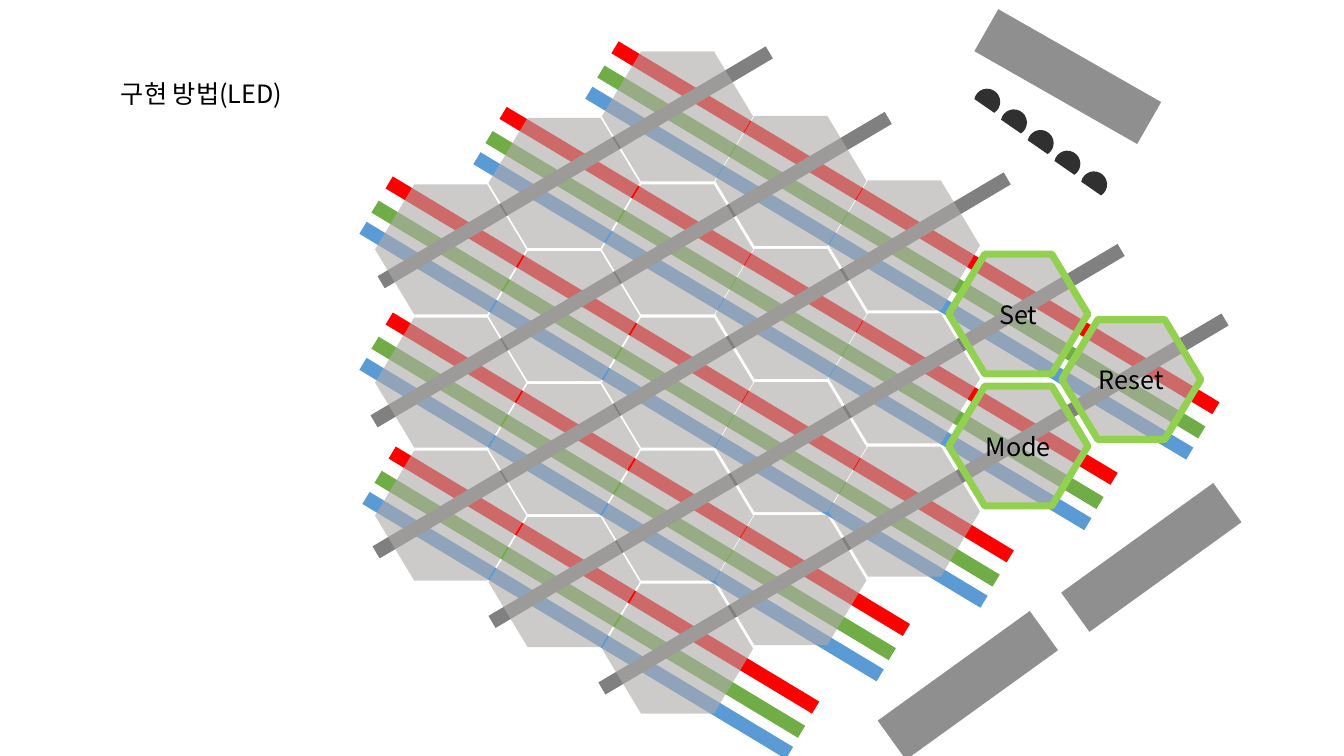
from lxml.etree import SubElement
from pptx import Presentation
from pptx.dml.color import RGBColor
from pptx.enum.shapes import MSO_CONNECTOR, MSO_SHAPE
from pptx.enum.text import MSO_ANCHOR, PP_ALIGN
from pptx.oxml.ns import qn
from pptx.util import Inches, Pt

COLORS = {
    "blue": "5B9BD5",
    "red": "FF0000",
    "green": "70AD47",
    "wire": "808080",
    "cell": "AFABAB",
    "key": "92D050",
    "black": "000000",
}


class Board:
    font = "Noto Sans CJK KR"
    size = Pt(18)

    def __init__(self, slide):
        self.shapes = slide.shapes

    def color(self, name):
        return RGBColor.from_string(COLORS[name])

    def line(self, start, end, color):
        points = [Inches(value) for value in (*start, *end)]
        wire = self.shapes.add_connector(MSO_CONNECTOR.STRAIGHT, *points)
        wire.line.color.rgb = self.color(color)
        wire.line.width = Pt(10)
        SubElement(wire._element.spPr, qn("a:effectLst"))

    def shape(self, kind, box, color, alpha, turn=0):
        item = self.shapes.add_shape(kind, *[Inches(value) for value in box])
        item.shadow.inherit = False
        item.rotation = turn
        item.fill.solid()
        item.fill.fore_color.rgb = self.color(color)
        tint = item._element.spPr.find(qn("a:solidFill"))[0]
        SubElement(tint, qn("a:alpha")).set("val", str(alpha * 1000))
        item.line.fill.background()
        return item

    def cell(self, box):
        item = self.shape(MSO_SHAPE.HEXAGON, box, "cell", 62)
        item.adjustments[0] = 0.301
        return item

    def key(self, left, top, label):
        item = self.cell((left, top, 1.38, 1.19))
        item.line.color.rgb = self.color("key")
        item.line.width = Pt(5)
        frame = item.text_frame
        frame.text = label
        frame.word_wrap = False
        frame.vertical_anchor = MSO_ANCHOR.MIDDLE
        frame.paragraphs[0].alignment = PP_ALIGN.CENTER
        self.style(frame)

    def text(self, box, words):
        item = self.shapes.add_textbox(*[Inches(value) for value in box])
        item.text_frame.text = words
        item.text_frame.word_wrap = False
        self.style(item.text_frame)

    def style(self, frame):
        for run in frame.paragraphs[0].runs:
            run.font.name = self.font
            run.font.size = self.size
            run.font.color.rgb = self.color("black")
            props = run._r.get_or_add_rPr()
            SubElement(props, qn("a:ea")).set("typeface", self.font)


def main():
    deck = Presentation()
    deck.slide_width = Inches(13.33)
    deck.slide_height = Inches(7.5)
    board = Board(deck.slides.add_slide(deck.slide_layouts[6]))

    rows = [
        ((3.63, 4.94), (7.83, 7.47)),
        ((3.6, 3.61), (8.73, 6.7)),
        ((3.6, 2.26), (9.76, 5.97)),
        ((4.73, 1.57), (10.79, 5.2)),
        ((5.84, 0.92), (11.8, 4.5)),
    ]
    shifts = {"blue": (0, 0), "red": (0.26, -0.45), "green": (0.12, -0.21)}
    for color, (right, down) in shifts.items():
        for start, end in rows:
            board.line(
                (start[0] + right, start[1] + down),
                (end[0] + right, end[1] + down),
                color,
            )

    wires = [
        ((7.63, 0.52), (3.78, 2.8)),
        ((8.81, 1.17), (3.71, 4.18)),
        ((9.99, 1.77), (3.73, 5.48)),
        ((11.12, 2.48), (4.88, 6.17)),
        ((12.15, 3.17), (5.97, 6.83)),
    ]
    for start, end in wires:
        board.line(start, end, "wire")

    columns = [(1.83, 3), (1.17, 4), (0.51, 5), (1.15, 4), (1.79, 3)]
    for column, (top, count) in enumerate(columns):
        for row in range(count):
            board.cell((3.72 + 1.125 * column, top + 1.32 * row, 1.5, 1.29))

    keys = [(9.41, 3.83, "Mode"), (9.41, 2.52, "Set"), (10.53, 3.17, "Reset")]
    for left, top, label in keys:
        board.key(left, top, label)

    board.text((1.1, 0.73, 1.89, 0.4), "구현 방법(LED)")

    bars = [(8.67, 6.56, 324.2), (10.49, 5.29, 324.2), (9.66, 0.52, 29.7)]
    for left, top, turn in bars:
        board.shape(MSO_SHAPE.RECTANGLE, (left, top, 1.86, 0.48), "black", 44, turn)

    for step in range(5):
        box = (9.66 + 0.265 * step, 0.88 + 0.205 * step, 0.26, 0.26)
        board.shape(MSO_SHAPE.CHORD, box, "black", 81, 147.2)

    deck.save("out.pptx")


if __name__ == "__main__":
    main()
